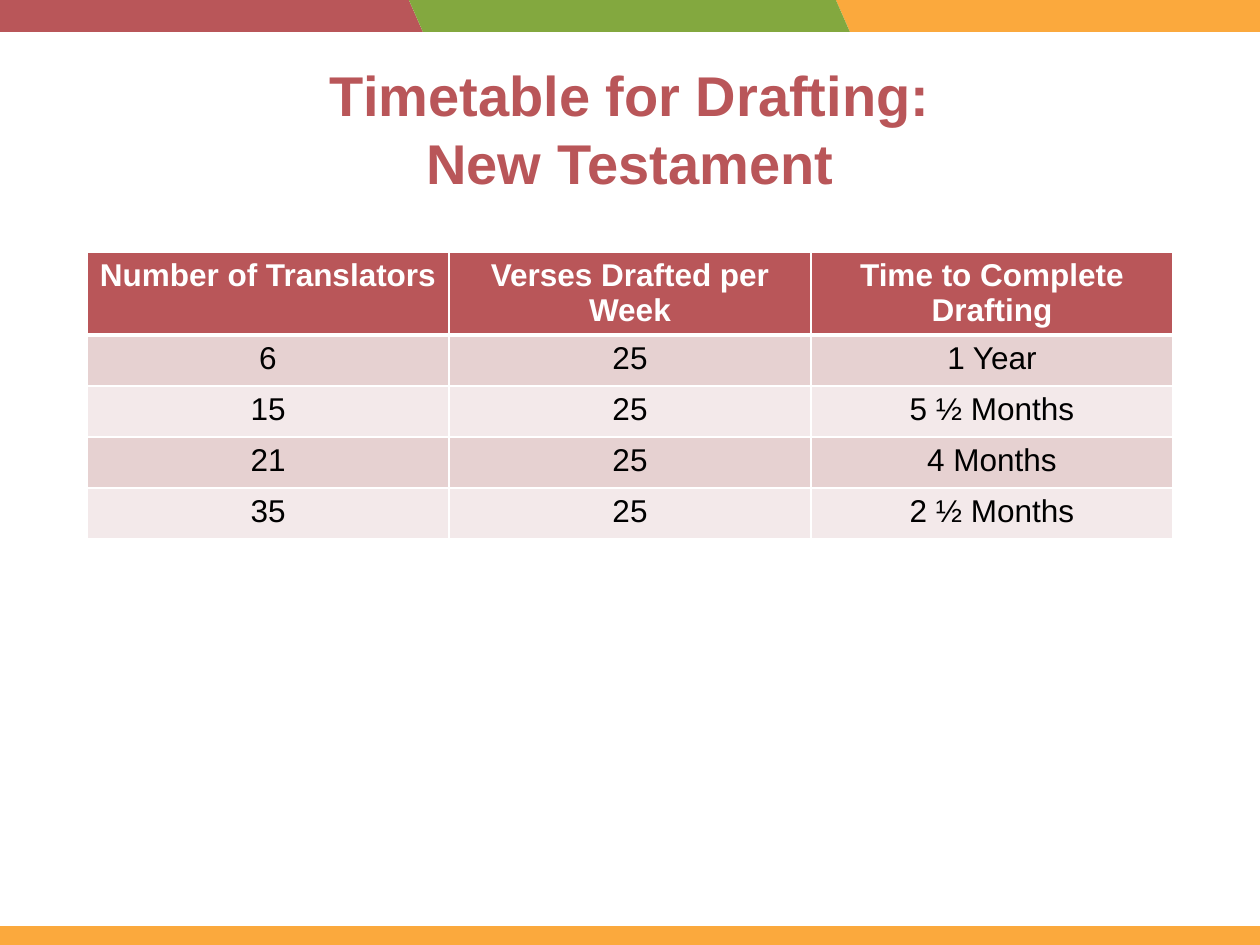
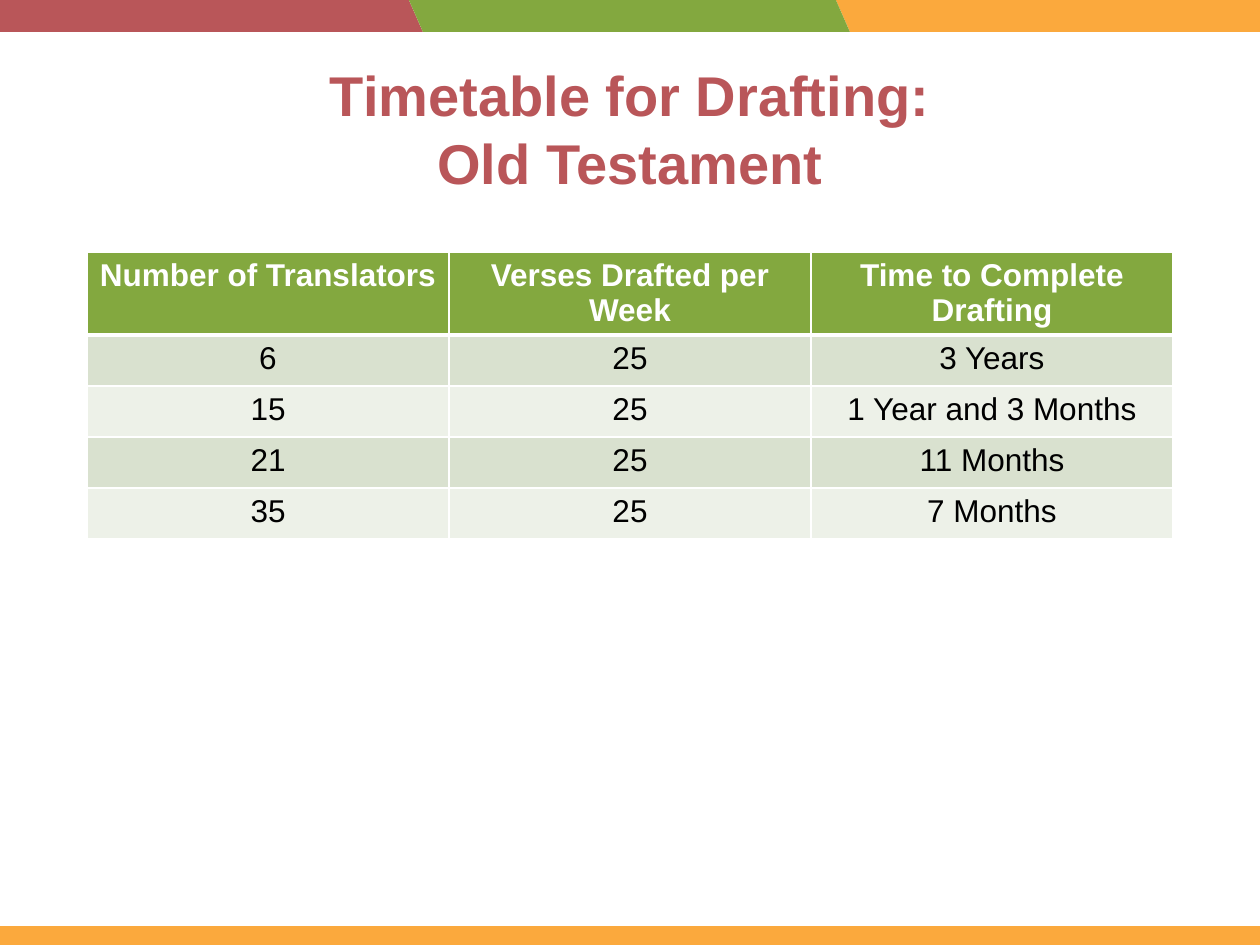
import dataclasses

import pptx
import pptx.dml.color
import pptx.enum.shapes
import pptx.enum.text
import pptx.oxml
import pptx.oxml.ns
import pptx.util

qn = pptx.oxml.ns.qn
ANCHOR = pptx.enum.text.MSO_ANCHOR
SHAPES = pptx.enum.shapes.MSO_SHAPE


@dataclasses.dataclass(frozen=True)
class Theme:
    font: str = "Arial"
    red: str = "B95659"
    green: str = "83A83F"
    orange: str = "FBA93D"
    white: str = "FFFFFF"
    black: str = "000000"
    title_size: int = 32
    title_line: float = 38.4
    cell_size: int = 18
    cell_line: int = 20
    thin_border: int = 1
    thick_border: int = 3


THEME = Theme()

HEADINGS = ("Number of Translators", "Verses Drafted per Week", "Time to Complete Drafting")
TRANSLATORS = ("6", "15", "21", "35")
VERSES_PER_WEEK = "25"
TIMETABLES = [
    {
        "title": ("Timetable for Drafting:", "New Testament"),
        "header": THEME.red,
        "bands": ("E6D1D1", "F3E9EA"),
        "times": ("1 Year", "5 ½ Months", "4 Months", "2 ½ Months"),
    },
    {
        "title": ("Timetable for Drafting:", "Old Testament"),
        "header": THEME.green,
        "bands": ("D9E1CF", "EDF1E8"),
        "times": ("3 Years", "1 Year and 3 Months", "11 Months", "7 Months"),
    },
]

SLIDE_WIDTH, SLIDE_HEIGHT = 1260, 945
FOOTER_HEIGHT = 19
RIBBON_LEFT, RIBBON_STEP, RIBBON_WIDTH, RIBBON_HEIGHT = -18, 427, 441, 32
RIBBON_SLANT = 0.44
MARGIN = 87
CONTENT_WIDTH = SLIDE_WIDTH - 2 * MARGIN
TITLE_TOP, TITLE_HEIGHT = 53, 183
TABLE_TOP, HEADER_HEIGHT, ROW_HEIGHT = 252, 83, 51


def px(length):
    return pptx.util.Emu(length * 914400 // 126)


def rgb(value):
    return pptx.dml.color.RGBColor.from_string(value)


def write(frame, text, *, size, line, color, bold=False):
    """Put centred text in a frame; a vertical tab breaks the line."""
    paragraph = frame.paragraphs[0]
    paragraph.text = text
    paragraph.alignment = pptx.enum.text.PP_ALIGN.CENTER
    paragraph.line_spacing = pptx.util.Pt(line)
    for run in paragraph.runs:
        run.font.name = THEME.font
        run.font.size = pptx.util.Pt(size)
        run.font.bold = bold
        run.font.color.rgb = rgb(color)


def add_band(slide, kind, left, top, width, height, color):
    shape = slide.shapes.add_shape(kind, px(left), px(top), px(width), px(height))
    shape.shadow.inherit = False
    shape.fill.solid()
    shape.fill.fore_color.rgb = rgb(color)
    shape.line.fill.background()
    return shape


def decorate_master(master, slide):
    """Draw the bands on a slide, then move them behind everything on the master."""
    bands = [add_band(slide, SHAPES.RECTANGLE, 0, SLIDE_HEIGHT - FOOTER_HEIGHT,
                      SLIDE_WIDTH, FOOTER_HEIGHT, THEME.orange)]
    for position, color in ((2, THEME.orange), (0, THEME.red), (1, THEME.green)):
        ribbon = add_band(slide, SHAPES.PARALLELOGRAM, RIBBON_LEFT + position * RIBBON_STEP,
                          0, RIBBON_WIDTH, RIBBON_HEIGHT, color)
        ribbon.adjustments[0] = RIBBON_SLANT
        ribbon.element.find(".//" + qn("a:xfrm")).set("flipH", "1")
        bands.append(ribbon)
    for index, band in enumerate(bands, start=2):
        master.shapes.element.insert(index, band.element)


def set_title_style(master):
    style = master.element.find(".//" + qn("p:titleStyle"))
    style.find(".//" + qn("a:defRPr")).set("sz", str(THEME.title_size * 100))


def add_title(slide, lines):
    title = slide.shapes.title
    title.left, title.top = px(MARGIN), px(TITLE_TOP)
    title.width, title.height = px(CONTENT_WIDTH), px(TITLE_HEIGHT)
    frame = title.text_frame
    frame.auto_size = pptx.enum.text.MSO_AUTO_SIZE.NONE
    frame.vertical_anchor = ANCHOR.TOP
    frame.margin_top = px(8)
    write(frame, "\v".join(lines), size=THEME.title_size, line=THEME.title_line,
          color=THEME.red, bold=True)


def set_borders(cell, top, bottom):
    properties = cell._tc.get_or_add_tcPr()
    widths = {"L": THEME.thin_border, "R": THEME.thin_border, "T": top, "B": bottom}
    for side, width in widths.items():
        properties.append(pptx.oxml.parse_xml(
            f'<a:ln{side} {pptx.oxml.ns.nsdecls("a")} w="{pptx.util.Pt(width)}">'
            f'<a:solidFill><a:srgbClr val="{THEME.white}"/></a:solidFill></a:ln{side}>'))


def add_timetable(slide, timetable):
    rows = [HEADINGS] + [(count, VERSES_PER_WEEK, time)
                         for count, time in zip(TRANSLATORS, timetable["times"])]
    heights = [HEADER_HEIGHT] + [ROW_HEIGHT] * len(TRANSLATORS)
    table = slide.shapes.add_table(len(rows), len(HEADINGS), px(MARGIN), px(TABLE_TOP),
                                   px(CONTENT_WIDTH), px(sum(heights))).table
    for column in table.columns:
        column.width = px(CONTENT_WIDTH // len(HEADINGS))
    for row, (texts, height) in enumerate(zip(rows, heights)):
        table.rows[row].height = px(height)
        is_header = row == 0
        fill = timetable["header"] if is_header else timetable["bands"][(row - 1) % 2]
        top = THEME.thick_border if row == 1 else THEME.thin_border
        bottom = THEME.thick_border if is_header else THEME.thin_border
        for column, text in enumerate(texts):
            cell = table.cell(row, column)
            set_borders(cell, top, bottom)
            cell.fill.solid()
            cell.fill.fore_color.rgb = rgb(fill)
            cell.margin_left = cell.margin_right = px(11)
            cell.vertical_anchor = ANCHOR.TOP
            write(cell.text_frame, text, size=THEME.cell_size, line=THEME.cell_line,
                  color=THEME.white if is_header else THEME.black, bold=is_header)


def main():
    presentation = pptx.Presentation()
    presentation.slide_width, presentation.slide_height = px(SLIDE_WIDTH), px(SLIDE_HEIGHT)
    master = presentation.slide_master
    set_title_style(master)
    title_only = presentation.slide_layouts.get_by_name("Title Only")
    for timetable in TIMETABLES:
        slide = presentation.slides.add_slide(title_only)
        add_title(slide, timetable["title"])
        add_timetable(slide, timetable)
    decorate_master(master, presentation.slides[0])
    presentation.save("out.pptx")


if __name__ == "__main__":
    main()
